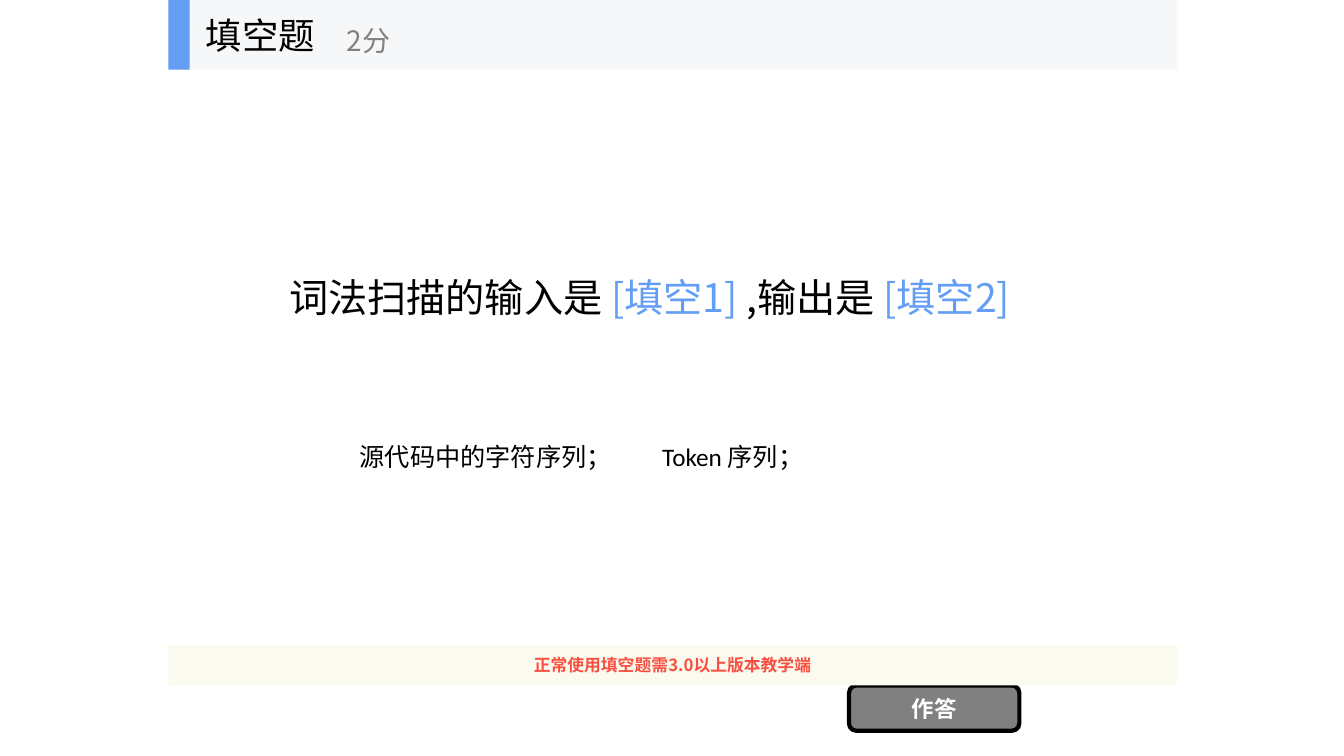
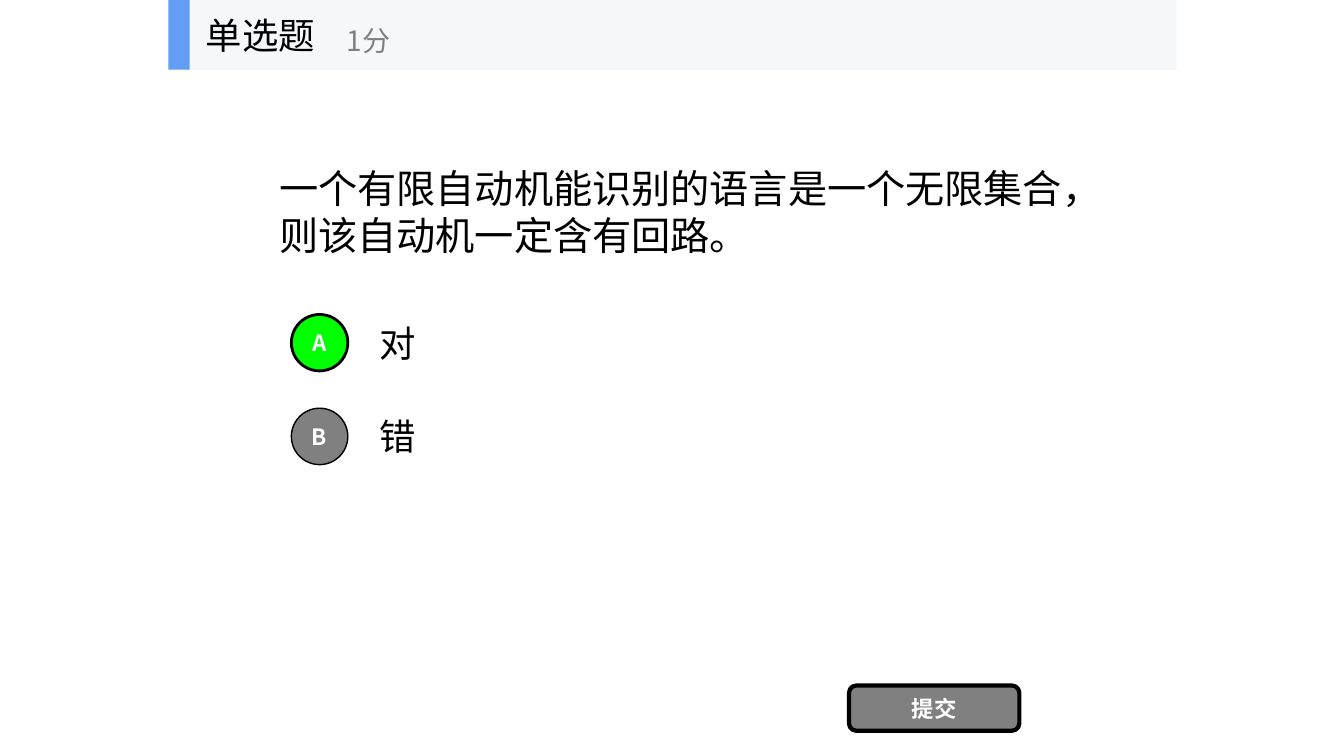
import pptx
import pptx.util
import pptx.dml.color
import pptx.enum.shapes
import pptx.enum.text
import pptx.oxml.ns
import lxml.etree

Inches = pptx.util.Inches
RGBColor = pptx.dml.color.RGBColor
SHAPE = pptx.enum.shapes.MSO_SHAPE
ALIGN = pptx.enum.text.PP_ALIGN
ANCHOR = pptx.enum.text.MSO_ANCHOR

BLACK = RGBColor(0x00, 0x00, 0x00)
WHITE = RGBColor(0xFF, 0xFF, 0xFF)
GRAY = RGBColor(0x80, 0x80, 0x80)
BLUE = RGBColor(0x63, 0x9E, 0xF4)
PALE = RGBColor(0xF6, 0xF7, 0xF8)
CREAM = RGBColor(0xFB, 0xFA, 0xEF)
RED = RGBColor(0xF8, 0x4F, 0x41)
GREEN = RGBColor(0x00, 0xFF, 0x00)

HAN = "Noto Sans CJK SC"
LATIN = "Calibri"

# Shared text styles
HEAD = {"size": 26, "color": BLACK}
SCORE = {"size": 20, "color": GRAY}
ASK = {"size": 28, "color": BLACK}
BLANK = {"size": 28, "color": BLUE}
LABEL = {"size": 16, "color": WHITE, "bold": True}
NOTICE = {"size": 12, "color": RED, "bold": True}
REPLY = {"size": 18, "color": BLACK, "name": LATIN}

# Page column that holds all parts: left, top, width, height
PAGE = (1.67, 0, 10, 7.5)


def style(font, look):
    """Apply a style dict to a font."""
    look = {"name": HAN, "bold": False, **look}
    font.color.rgb = look["color"]
    values = {"name": look["name"], "bold": look["bold"],
              "size": pptx.util.Pt(look["size"])}
    for key, value in values.items():
        setattr(font, key, value)


def write(shape, runs, align=ALIGN.LEFT, anchor=ANCHOR.MIDDLE):
    """Fill a shape with one paragraph of (text, style) runs."""
    frame = shape.text_frame
    values = {"word_wrap": True, "vertical_anchor": anchor,
              "auto_size": pptx.enum.text.MSO_AUTO_SIZE.NONE}
    for key, value in values.items():
        setattr(frame, key, value)
    para = frame.paragraphs[0]
    para.alignment = align
    for text, look in runs:
        run = para.add_run()
        run.text = text
        style(run.font, look)
        # East Asian typeface
        face = lxml.etree.SubElement(run.font._element, pptx.oxml.ns.qn("a:ea"))
        face.set("typeface", HAN)


def place(shape, box):
    for key, value in zip(("left", "top", "width", "height"), box):
        setattr(shape, key, Inches(value))


def label(slide, box, runs, **how):
    shape = slide.shapes.add_textbox(*map(Inches, box))
    write(shape, runs, **how)


def block(slide, kind, box, fill, edge=0, text="", look=LABEL):
    """Add a filled shape with an optional black edge and centred text."""
    shape = slide.shapes.add_shape(kind, *map(Inches, box))
    shape.shadow.inherit = False
    shape.fill.solid()
    shape.fill.fore_color.rgb = fill
    if edge:
        shape.line.color.rgb = BLACK
        shape.line.width = pptx.util.Pt(edge)
    else:
        shape.line.fill.background()
    if text:
        write(shape, [(text, look)], align=ALIGN.CENTER)


def header(slide, box, name, score):
    """Top band with accent bar, question type and score."""
    x, y, w, h = box
    block(slide, SHAPE.RECTANGLE, box, PALE)
    block(slide, SHAPE.RECTANGLE, (x, y, 0.21, h), BLUE)
    title = slide.shapes.title
    place(title, (x + 0.27, y, 2.08, h))
    write(title, [(name, HEAD)])
    # Bring the title in front of the band
    title.element.getparent().append(title.element)
    label(slide, (x + 1.67, y + 0.12, 2.5, 0.56), [(score, SCORE)])


def base(deck, name, score, action):
    """Start a question slide with its header and button."""
    slide = deck.slides.add_slide(deck.slide_layouts[5])
    x, y, w, h = PAGE
    header(slide, (x, y, w, 0.69), name, score)
    block(slide, SHAPE.ROUNDED_RECTANGLE, (x + 6.75, y + 6.8, 1.69, 0.45),
          GRAY, 3, action)
    return slide


def fill_in(deck, box):
    """Fill-in question with its answers and a notice strip."""
    x, y, w, h = box
    slide = base(deck, "填空题", "2分", "作答")
    label(slide, (x + 1.1, y + 1.78, 8, 2.34),
          [("词法扫描的输入是 ", ASK), ("[填空1]", BLANK),
           (" ,输出是 ", ASK), ("[填空2]", BLANK)])
    label(slide, (x + 1.8, y + 4.33, 4.6, 0.4),
          [("源代码中的字符序列；\tToken 序列；", REPLY)], anchor=ANCHOR.TOP)
    block(slide, SHAPE.RECTANGLE, (x, y + 6.4, w, 0.4), CREAM,
          text="正常使用填空题需3.0以上版本教学端", look=NOTICE)


def choice(deck, box):
    """Single-choice question with lettered options."""
    x, y, w, h = box
    slide = base(deck, "单选题", "1分", "提交")
    label(slide, (x + 1, y + 1.16, 8.2, 1.87),
          [("一个有限自动机能识别的语言是一个无限集合，则该自动机一定含有回路。",
            {**ASK, "name": LATIN})])
    options = [("A", "对", GREEN, 2), ("B", "错", GRAY, 1)]
    for i, (mark, text, fill, edge) in enumerate(options):
        top = y + 3.05 + 0.93 * i
        block(slide, SHAPE.OVAL, (x + 1.22, top + 0.07, 0.56, 0.56),
              fill, edge, mark)
        label(slide, (x + 2, top, 7, 0.7), [(text, HEAD)])


def main():
    deck = pptx.Presentation()
    deck.slide_width = Inches(13.33)
    deck.slide_height = Inches(7.5)
    fill_in(deck, PAGE)
    choice(deck, PAGE)
    deck.save("out.pptx")


if __name__ == "__main__":
    main()
